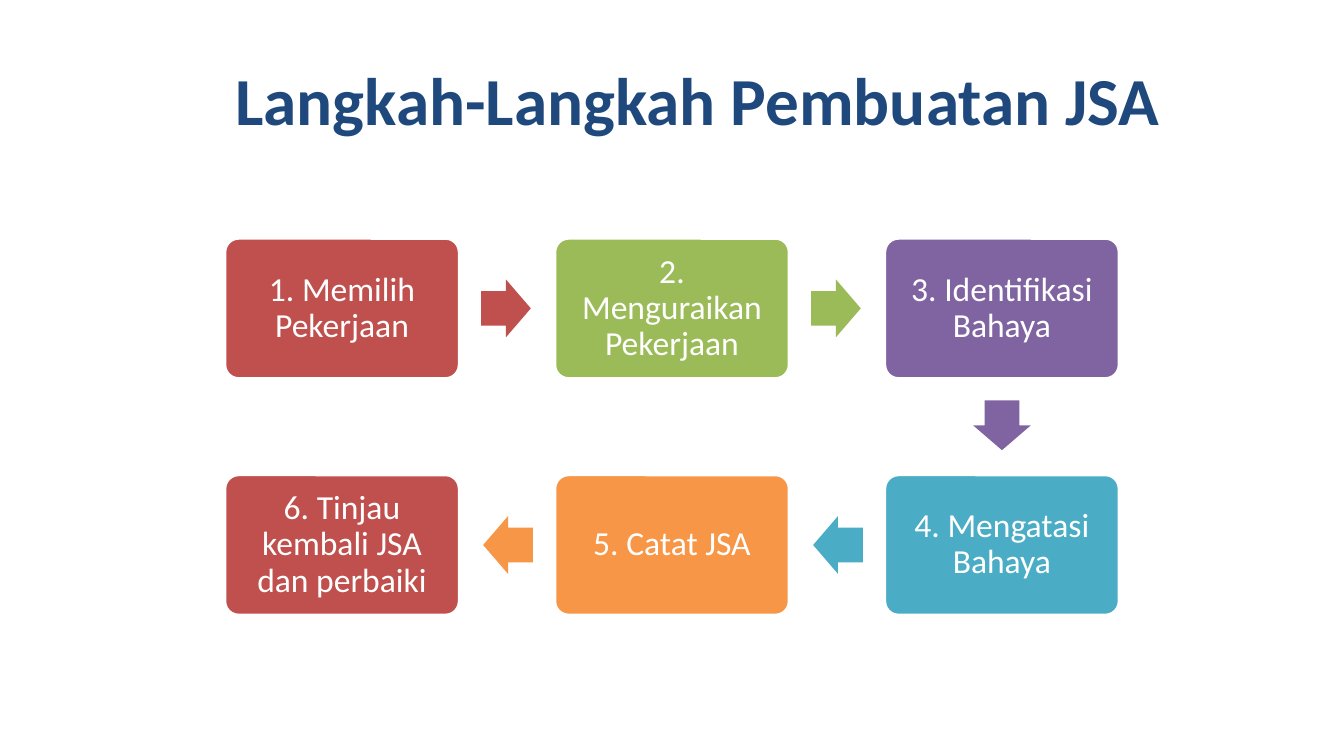
from pptx import Presentation
from pptx.dml.color import RGBColor
from pptx.enum.shapes import MSO_SHAPE as Shape
from pptx.enum.text import MSO_ANCHOR as Anchor, MSO_AUTO_SIZE as Fit, PP_ALIGN as Align
from pptx.util import Pt

PX = 4572  # 200 px to the inch
NAVY = RGBColor(0x1F, 0x49, 0x7D)
WHITE = RGBColor(0xFF, 0xFF, 0xFF)
RED = RGBColor(0xC0, 0x50, 0x4D)
GREEN = RGBColor(0x9B, 0xBB, 0x59)
VIOLET = RGBColor(0x80, 0x64, 0xA2)
TEAL = RGBColor(0x4B, 0xAC, 0xC6)
ORANGE = RGBColor(0xF7, 0x96, 0x46)

LEFT, TOP = 334, 354
WIDE, HIGH = 350, 210
PITCH_X, PITCH_Y = 491, 352
ARROW_W, ARROW_H, GAP = 74, 86, 32

# Label, colour, column, row
STEPS = [
    ("1. Memilih Pekerjaan", RED, 0, 0),
    ("2. Menguraikan Pekerjaan", GREEN, 1, 0),
    ("3. Identifikasi Bahaya", VIOLET, 2, 0),
    ("4. Mengatasi Bahaya", TEAL, 2, 1),
    ("5. Catat JSA", ORANGE, 1, 1),
    ("6. Tinjau kembali JSA dan perbaiki", RED, 0, 1),
]
TURNS = {(1, 0): 0, (0, 1): 90, (-1, 0): 180}


class Deck:
    """Holds the style and the current slide."""

    font = "Calibri"

    def __init__(self, wide, high):
        self.prs = Presentation()
        self.prs.slide_width, self.prs.slide_height = wide * PX, high * PX
        self.slide = self.prs.slides.add_slide(self.prs.slide_layouts[5])

    def label(self, frame, text, size, color, align):
        frame.text = text
        frame.word_wrap = True
        frame.auto_size = Fit.NONE
        frame.vertical_anchor = Anchor.MIDDLE
        para = frame.paragraphs[0]
        para.alignment = align
        font = para.font
        font.name, font.size, font.color.rgb = self.font, Pt(size), color
        return para

    def title(self, text, x, y, w, h):
        head = self.slide.shapes.title
        head.left, head.top, head.width, head.height = (n * PX for n in (x, y, w, h))
        para = self.label(head.text_frame, text, 36, NAVY, Align.LEFT)
        para.font.bold = True
        head.text_frame.margin_left = 38 * PX

    def shape(self, kind, x, y, w, h, color):
        item = self.slide.shapes.add_shape(kind, x * PX, y * PX, w * PX, h * PX)
        item.shadow.inherit = False
        item.fill.solid()
        item.fill.fore_color.rgb = color
        return item

    def box(self, text, x, y, color):
        item = self.shape(Shape.ROUNDED_RECTANGLE, x, y, WIDE, HIGH, color)
        item.adjustments[0] = 0.1
        item.line.color.rgb, item.line.width = WHITE, Pt(2)
        frame = item.text_frame
        frame.margin_left = frame.margin_right = 14 * PX
        frame.margin_top = frame.margin_bottom = 14 * PX
        self.label(frame, text, 18, WHITE, Align.CENTER).line_spacing = 0.9

    def arrow(self, x, y, turn, color):
        """Draw a block arrow centred on x, y."""
        item = self.shape(Shape.RIGHT_ARROW, x - ARROW_W // 2, y - ARROW_H // 2,
                          ARROW_W, ARROW_H, color)
        item.adjustments[0], item.adjustments[1] = 0.6, 0.5
        item.line.fill.background()
        item.rotation = turn


def main():
    deck = Deck(2000, 1125)
    deck.title("Langkah-Langkah Pembuatan JSA", 312, 62, 1588, 170)
    reach = GAP + ARROW_W // 2
    for i, (text, color, col, row) in enumerate(STEPS):
        x, y = LEFT + col * PITCH_X, TOP + row * PITCH_Y
        deck.box(text, x, y, color)
        if i + 1 < len(STEPS):
            dx, dy = STEPS[i + 1][2] - col, STEPS[i + 1][3] - row
            deck.arrow(x + WIDE // 2 + dx * (WIDE // 2 + reach),
                       y + HIGH // 2 + dy * (HIGH // 2 + reach),
                       TURNS[dx, dy], color)
    deck.prs.save("out.pptx")


if __name__ == "__main__":
    main()
